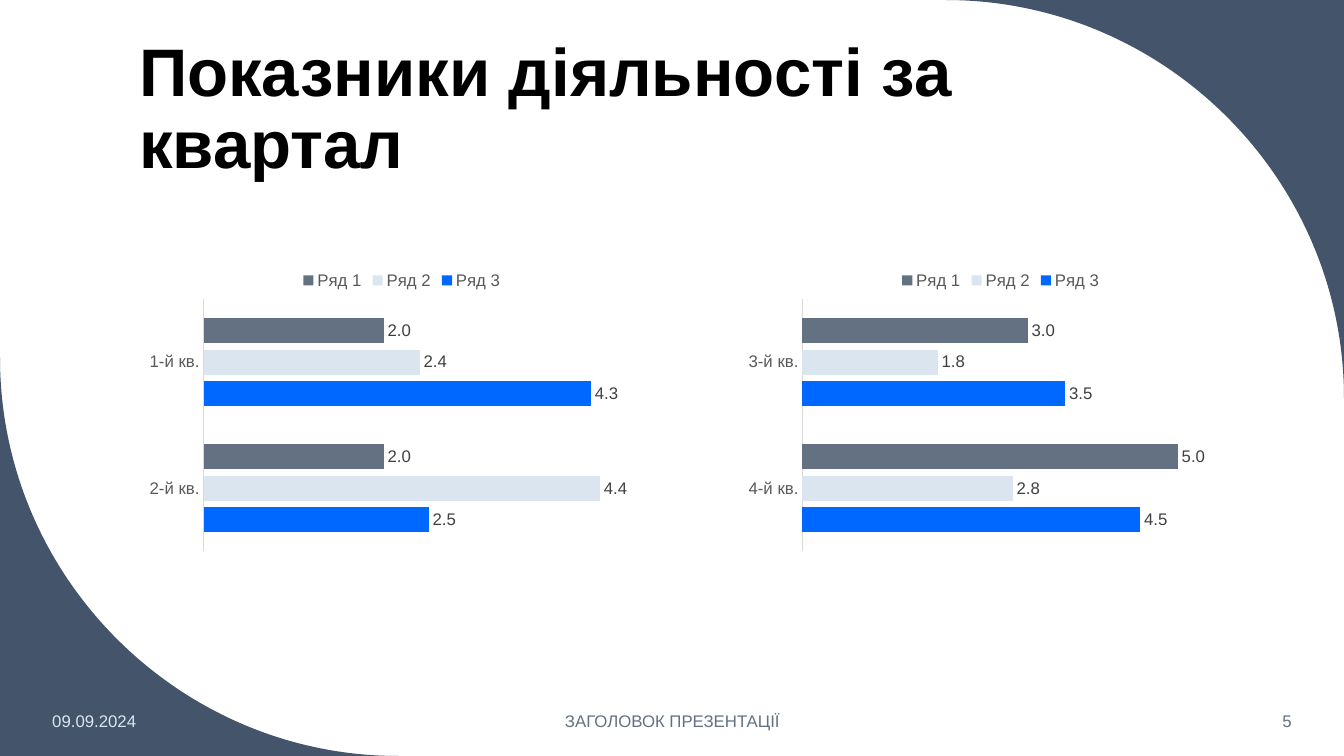
import lxml.etree
import pptx
import pptx.chart.data
import pptx.dml.color
import pptx.enum.chart
import pptx.enum.text
import pptx.oxml.ns
import pptx.util

RGBColor = pptx.dml.color.RGBColor
Inches = pptx.util.Inches
Pt = pptx.util.Pt
Align = pptx.enum.text.PP_ALIGN
Anchor = pptx.enum.text.MSO_ANCHOR
qn = pptx.oxml.ns.qn

FONT = "Arial"
BLACK = RGBColor(0x00, 0x00, 0x00)
NAVY = RGBColor(0x44, 0x54, 0x6A)
SLATE = RGBColor(0x63, 0x71, 0x83)
PALE = RGBColor(0xDA, 0xE5, 0xEF)
BLUE = RGBColor(0x00, 0x68, 0xFF)
LABEL_GREY = RGBColor(0x40, 0x40, 0x40)
AXIS_GREY = RGBColor(0x59, 0x59, 0x59)
LINE_GREY = RGBColor(0xD9, 0xD9, 0xD9)

WIDTH, HEIGHT = 13.33, 7.5
CORNER_RADIUS = 3.95
ARC_HANDLE = 0.55
FOOTER_TOP, FOOTER_HEIGHT = 6.95, 0.4
CHART_LEFT, CHART_STEP = 1.38, 5.94
CHART_TOP, CHART_WIDTH, CHART_HEIGHT = 2.58, 5.21, 2.95

SERIES_COLORS = {"Ряд 3": BLUE, "Ряд 2": PALE, "Ряд 1": SLATE}
# Categories, the values of each series, and the top of the value axis
QUARTER_CHARTS = [
    (["2-й кв.", "1-й кв."], [(2.5, 4.3), (4.4, 2.4), (2, 2)], 5),
    (["4-й кв.", "3-й кв."], [(4.5, 3.5), (2.8, 1.8), (5, 3)], 6),
]
FOOTERS = [
    ("09.09.2024", 0.42, 1.86, Align.LEFT, PALE),
    ("ЗАГОЛОВОК ПРЕЗЕНТАЦІЇ", 4.42, 4.5, Align.CENTER, SLATE),
    ("5", 11.1, 1.81, Align.RIGHT, SLATE),
]


def style_font(font, size, color, bold=False):
    font.name = FONT
    font.size = Pt(size)
    font.bold = bold
    font.color.rgb = color


def place(shape, left, top, width, height):
    shape.left, shape.top = Inches(left), Inches(top)
    shape.width, shape.height = Inches(width), Inches(height)


def write_text(shape, text, size=12, color=BLACK, bold=False,
               align=Align.LEFT, anchor=Anchor.MIDDLE, spacing=1.0):
    frame = shape.text_frame
    frame.word_wrap = True
    frame.auto_size = pptx.enum.text.MSO_AUTO_SIZE.NONE
    frame.vertical_anchor = anchor
    para = frame.paragraphs[0]
    para.alignment = align
    para.line_spacing = spacing
    span = para.add_run()
    span.text = text
    style_font(span.font, size, color, bold)


def bend_lines(shape):
    """Turn the second to fourth line of an outline into one Bézier curve."""
    lines = list(shape.element.iter(qn("a:lnTo")))[1:4]
    curve = lxml.etree.Element(qn("a:cubicBezTo"))
    lines[0].addprevious(curve)
    for line in lines:
        curve.append(line[0])
        line.getparent().remove(line)


def add_corner(page, center_x, center_y, side_x, side_y):
    """Fill the area between a quarter circle and the slide corner it faces."""
    def point(x, y):
        return (Inches(center_x + side_x * CORNER_RADIUS * x),
                Inches(center_y + side_y * CORNER_RADIUS * y))

    outline = [(0, 1), (ARC_HANDLE, 1), (1, ARC_HANDLE), (1, 0)]
    builder = page.shapes.build_freeform(*point(1, 1))
    builder.add_line_segments([point(x, y) for x, y in outline], close=True)
    corner = builder.convert_to_shape()
    bend_lines(corner)
    corner.shadow.inherit = False
    corner.fill.solid()
    corner.fill.fore_color.rgb = NAVY
    corner.line.fill.background()


def add_title(page, text):
    title = page.shapes.title
    place(title, 1.28, 0.42, 10.69, 1.45)
    write_text(title, text, size=48, bold=True, anchor=Anchor.BOTTOM, spacing=0.9)


def add_footer(page, text, left, width, align, color):
    box = page.shapes.add_textbox(0, 0, 0, 0)
    place(box, left, FOOTER_TOP, width, FOOTER_HEIGHT)
    write_text(box, text, color=color, align=align)


def style_axes(chart, maximum):
    categories = chart.category_axis
    categories.major_tick_mark = pptx.enum.chart.XL_TICK_MARK.NONE
    categories.has_major_gridlines = False
    categories.format.line.color.rgb = LINE_GREY
    categories.format.line.width = Pt(0.75)
    style_font(categories.tick_labels.font, 12, AXIS_GREY)
    values = chart.value_axis
    values.visible = False
    values.has_major_gridlines = False
    values.minimum_scale, values.maximum_scale = 0, maximum


def style_series(series, color):
    series.format.fill.solid()
    series.format.fill.fore_color.rgb = color
    series.invert_if_negative = False
    labels = series.data_labels
    labels.show_value = True
    labels.number_format = "#,##0.0"
    labels.number_format_is_linked = False
    labels.position = pptx.enum.chart.XL_LABEL_POSITION.OUTSIDE_END
    style_font(labels.font, 12, LABEL_GREY)


def add_quarter_chart(page, left, categories, rows, maximum):
    data = pptx.chart.data.CategoryChartData()
    data.categories = categories
    for name, values in zip(SERIES_COLORS, rows):
        data.add_series(name, values)
    frame = page.shapes.add_chart(
        pptx.enum.chart.XL_CHART_TYPE.BAR_CLUSTERED, Inches(left), Inches(CHART_TOP),
        Inches(CHART_WIDTH), Inches(CHART_HEIGHT), data)
    chart = frame.chart
    style_font(chart.font, 10, BLACK)
    chart.has_title = False
    chart.has_legend = True
    chart.legend.position = pptx.enum.chart.XL_LEGEND_POSITION.TOP
    chart.legend.include_in_layout = False
    style_font(chart.legend.font, 12, AXIS_GREY)
    style_axes(chart, maximum)
    plot = chart.plots[0]
    plot.gap_width, plot.overlap = 150, -25
    plot.vary_by_categories = False
    for series, color in zip(plot.series, SERIES_COLORS.values()):
        style_series(series, color)


def main():
    deck = pptx.Presentation()
    deck.slide_width, deck.slide_height = Inches(WIDTH), Inches(HEIGHT)
    page = deck.slides.add_slide(deck.slide_layouts.get_by_name("Title Only"))
    add_corner(page, WIDTH - CORNER_RADIUS, CORNER_RADIUS, 1, -1)
    add_corner(page, CORNER_RADIUS, HEIGHT - CORNER_RADIUS, -1, 1)
    add_title(page, "Показники діяльності за квартал")
    for footer in FOOTERS:
        add_footer(page, *footer)
    for column, content in enumerate(QUARTER_CHARTS):
        add_quarter_chart(page, CHART_LEFT + column * CHART_STEP, *content)
    deck.save("out.pptx")


if __name__ == "__main__":
    main()
